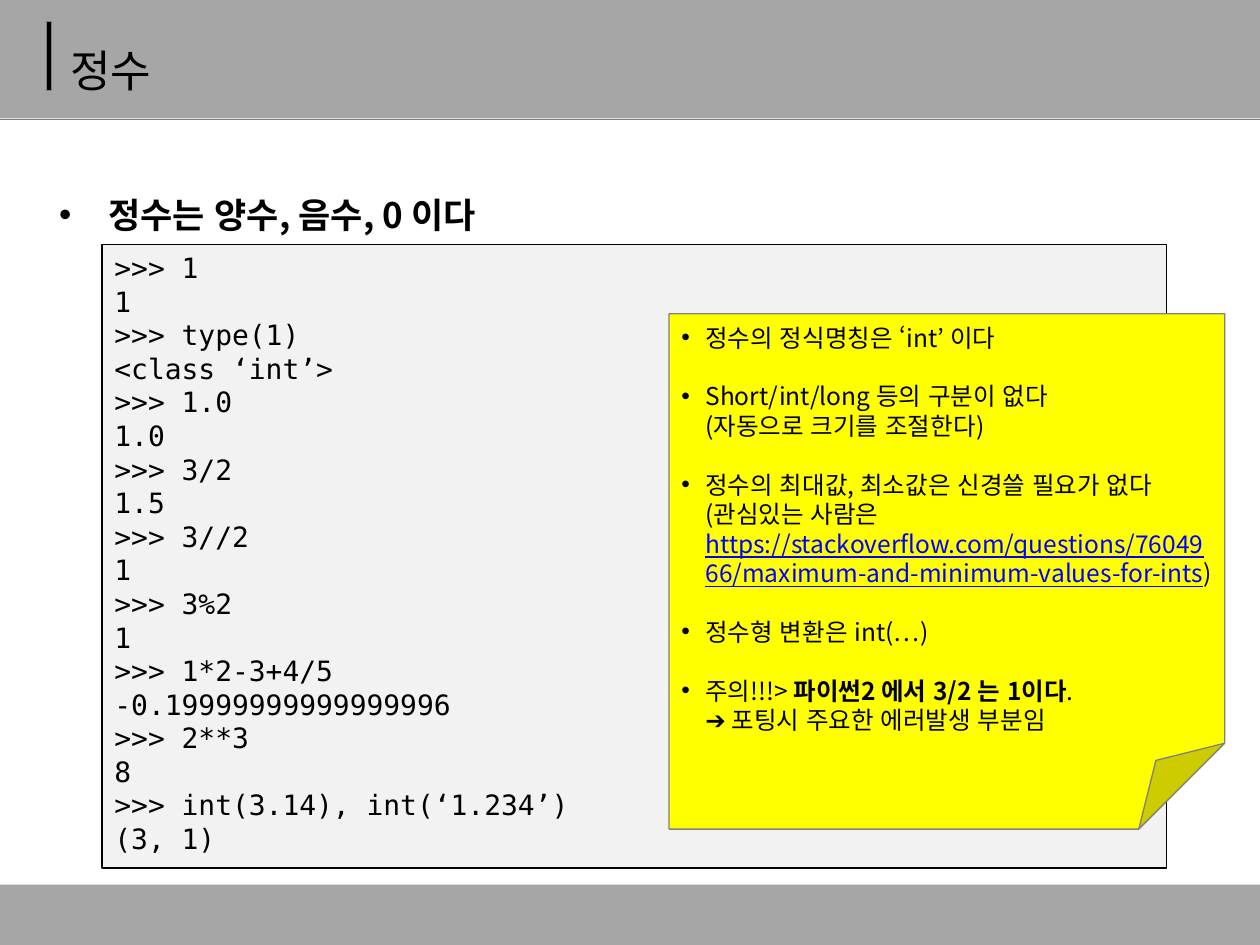
from dataclasses import dataclass
from typing import Optional

from lxml import etree
from pptx import Presentation
from pptx.dml.color import RGBColor
from pptx.enum.lang import MSO_LANGUAGE_ID
from pptx.enum.shapes import MSO_CONNECTOR, MSO_SHAPE
from pptx.enum.text import MSO_ANCHOR, PP_ALIGN
from pptx.oxml.ns import qn
from pptx.util import Inches, Pt

RECTANGLE, FOLDED_CORNER = MSO_SHAPE.RECTANGLE, MSO_SHAPE.FOLDED_CORNER
STRAIGHT = MSO_CONNECTOR.STRAIGHT
TOP, MIDDLE = MSO_ANCHOR.TOP, MSO_ANCHOR.MIDDLE
LEFT = PP_ALIGN.LEFT
KOREAN = MSO_LANGUAGE_ID.KOREAN


@dataclass(frozen=True)
class Theme:
    text_font: str = "Noto Sans CJK KR"
    code_font: str = "DejaVu Sans Mono"
    black: str = "000000"
    gray: str = "A6A6A6"
    outline: str = "808080"
    code_fill: str = "F2F2F2"
    note_fill: str = "FFFF00"
    link: str = "0000FF"
    title_size: float = 25.2
    heading_size: float = 20
    code_size: float = 16
    note_size: float = 14
    title_line: float = 45.4
    heading_line: float = 48
    note_line: float = 16.8
    line_width: float = 0.75


@dataclass(frozen=True)
class Box:
    left: float
    top: float
    width: float
    height: float

    def lengths(self):
        return [Inches(value) for value in (self.left, self.top, self.width, self.height)]


@dataclass(frozen=True)
class Piece:
    text: str
    bold: bool = False
    link: bool = False


THEME = Theme()

CODE = """>>> 1
1
>>> type(1)
<class ‘int’>
>>> 1.0
1.0
>>> 3/2
1.5
>>> 3//2
1
>>> 3%2
1
>>> 1*2-3+4/5
-0.19999999999999996
>>> 2**3
8
>>> int(3.14), int(‘1.234’)
(3, 1)"""

NOTES = [
    [Piece("정수의 정식명칭은 ‘int’ 이다")],
    [Piece("Short/int/long 등의 구분이 없다\n(자동으로 크기를 조절한다)")],
    [
        Piece("정수의 최대값, 최소값은 신경쓸 필요가 없다 (관심있는 사람은 "),
        Piece("https://stackoverflow.com/questions/7604966/maximum-and-minimum-values-for-ints", link=True),
        Piece(")"),
    ],
    [Piece("정수형 변환은 int(…)")],
    [
        Piece("주의!!!> "),
        Piece("파이썬2 에서 3/2 는 1이다", bold=True),
        Piece(".\n➔ 포팅시 주요한 에러발생 부분임"),
    ],
]


def add_block(slide, box: Box, fill: str, outline: Optional[str] = None, preset=RECTANGLE):
    shape = slide.shapes.add_shape(preset, *box.lengths())
    shape.shadow.inherit = False
    shape.fill.solid()
    shape.fill.fore_color.rgb = RGBColor.from_string(fill)
    if outline:
        shape.line.color.rgb = RGBColor.from_string(outline)
        shape.line.width = Pt(THEME.line_width)
    else:
        shape.line.fill.background()
    return shape


def add_rule(slide, left: float, right: float, top: float) -> None:
    rule = slide.shapes.add_connector(STRAIGHT, Inches(left), Inches(top), Inches(right), Inches(top))
    rule.line.color.rgb = RGBColor.from_string(THEME.outline)
    rule.line.width = Pt(THEME.line_width)
    etree.SubElement(rule._element.spPr, qn("a:effectLst"))


def add_bullet(paragraph, indent: float) -> None:
    properties = paragraph._p.get_or_add_pPr()
    properties.set("marL", str(Inches(indent)))
    properties.set("indent", str(-Inches(indent)))
    etree.SubElement(properties, qn("a:buFont")).set("typeface", "Arial")
    etree.SubElement(properties, qn("a:buChar")).set("char", "•")


def add_piece(paragraph, piece: Piece, font: str, size: float) -> None:
    for index, line in enumerate(piece.text.split("\n")):
        if index:
            paragraph.add_line_break()
        run = paragraph.add_run()
        run.text = line
        run.font.name = font
        run.font.size = Pt(size)
        run.font.bold = piece.bold
        run.font.underline = piece.link
        run.font.language_id = KOREAN
        run.font.color.rgb = RGBColor.from_string(THEME.link if piece.link else THEME.black)
        east_asian = etree.Element(qn("a:ea"), typeface=font)
        run.font._element.find(qn("a:latin")).addnext(east_asian)


def write_text(shape, paragraphs: list[list[Piece]], font: str, size: float, anchor=TOP,
               indent: float = 0, line: Optional[float] = None, gap: float = 0) -> None:
    frame = shape.text_frame
    frame.word_wrap = True
    frame.vertical_anchor = anchor
    for index, pieces in enumerate(paragraphs):
        paragraph = frame.add_paragraph() if index else frame.paragraphs[0]
        paragraph.alignment = LEFT
        if indent:
            add_bullet(paragraph, indent)
        if line:
            paragraph.line_spacing = Pt(line)
        if index and gap:
            paragraph.space_before = Pt(gap)
        for piece in pieces:
            add_piece(paragraph, piece, font, size)


def main() -> None:
    presentation = Presentation()
    presentation.slide_width, presentation.slide_height = Inches(10), Inches(7.5)
    slide = presentation.slides.add_slide(presentation.slide_layouts[6])

    # Header and footer bands
    add_block(slide, Box(0, -0.01, 10, 0.95), THEME.gray)
    add_rule(slide, 0, 10, 0.95)
    add_block(slide, Box(0.37, 0.17, 0.04, 0.55), THEME.black, THEME.outline)
    add_block(slide, Box(0, 7.02, 10, 0.48), THEME.gray)

    # Heading and title
    heading = slide.shapes.add_textbox(*Box(0.37, 1.15, 9.28, 5.15).lengths())
    write_text(heading, [[Piece("정수는 양수, 음수, 0 이다", bold=True)]], THEME.text_font,
               THEME.heading_size, indent=0.39, line=THEME.heading_line)
    title = slide.shapes.add_textbox(*Box(0.46, 0.14, 8.62, 0.62).lengths())
    write_text(title, [[Piece("정수")]], THEME.text_font, THEME.title_size,
               anchor=MIDDLE, line=THEME.title_line)

    # Interpreter session
    session = add_block(slide, Box(0.81, 1.94, 8.45, 4.95), THEME.code_fill, THEME.black)
    write_text(session, [[Piece(line)] for line in CODE.split("\n")], THEME.code_font, THEME.code_size)

    # Sticky note
    note = add_block(slide, Box(5.31, 2.49, 4.41, 4.09), THEME.note_fill, THEME.outline, FOLDED_CORNER)
    write_text(note, NOTES, THEME.text_font, THEME.note_size, anchor=MIDDLE,
               indent=0.19, line=THEME.note_line, gap=THEME.note_line)

    presentation.save("out.pptx")


if __name__ == "__main__":
    main()
